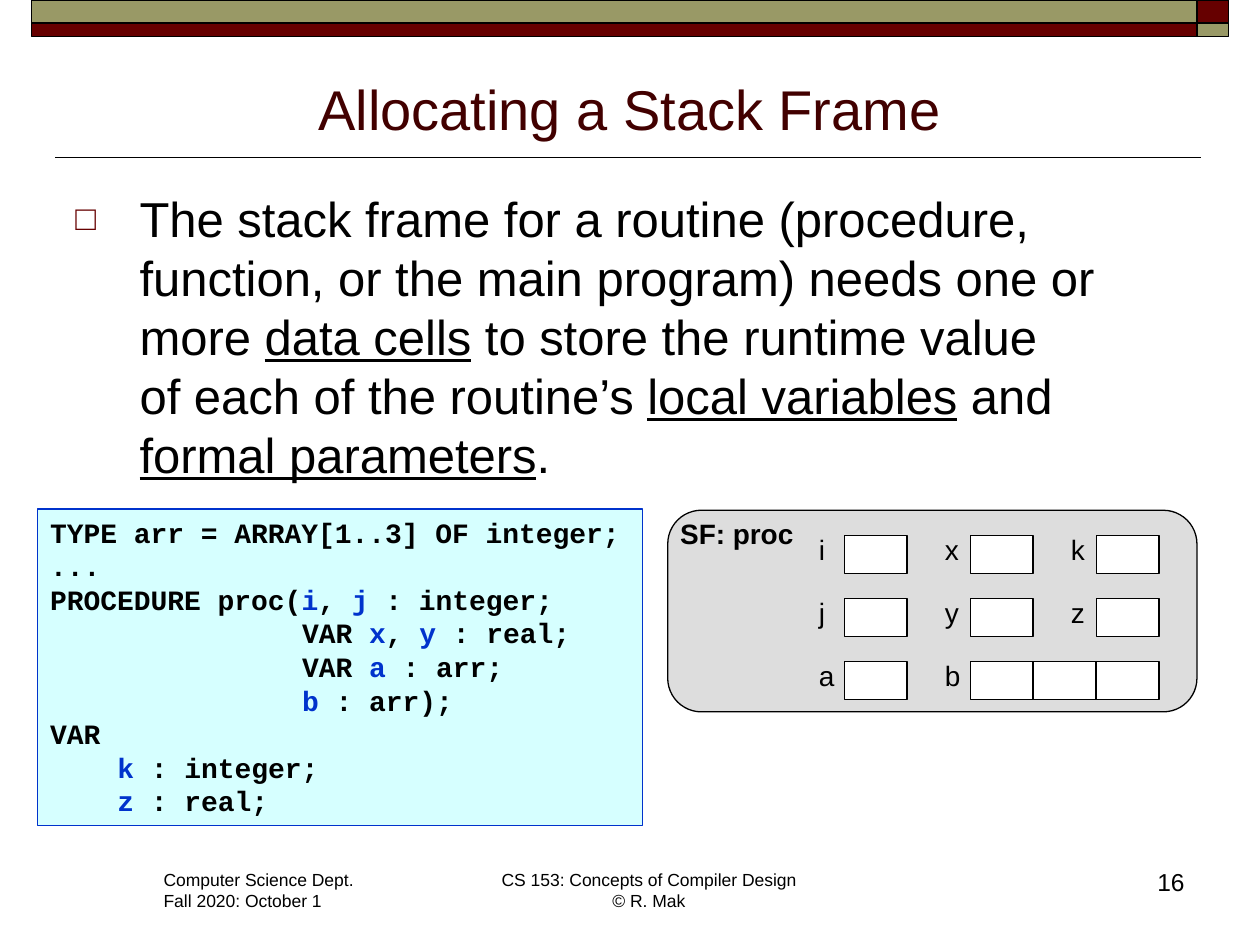
from pptx import Presentation
from pptx import util as u
from pptx.dml.color import RGBColor
from pptx.enum import shapes, text
from pptx.oxml import parse_xml
from pptx.oxml.ns import nsdecls

Inches, Pt = u.Inches, u.Pt
BLACK = RGBColor(0x00, 0x00, 0x00)
WHITE = RGBColor(0xFF, 0xFF, 0xFF)
MAROON = RGBColor(0x66, 0x00, 0x00)
OLIVE = RGBColor(0x99, 0x99, 0x66)
WINE = RGBColor(0x42, 0x00, 0x00)
BLUE = RGBColor(0x00, 0x33, 0xCC)
CYAN = RGBColor(0xD6, 0xFF, 0xFF)
GREY = RGBColor(0xDD, 0xDD, 0xDD)
LEFT, MID, RIGHT = text.PP_ALIGN.LEFT, text.PP_ALIGN.CENTER, text.PP_ALIGN.RIGHT

prs = Presentation()
prs.slide_width, prs.slide_height = Inches(10), Inches(7.5)
slide = prs.slides.add_slide(prs.slide_layouts[6])


def box(x, y, w, h, fill, line=BLACK, width=0.75, kind=shapes.MSO_SHAPE.RECTANGLE):
    shape = slide.shapes.add_shape(kind, Inches(x), Inches(y), Inches(w), Inches(h))
    shape.shadow.inherit = False
    shape.fill.solid()
    shape.fill.fore_color.rgb = fill
    shape.line.color.rgb = line
    shape.line.width = Pt(width)
    return shape


def write(lines, at=None, shape=None, size=16, font="Arial", color=BLACK, bold=False,
          align=LEFT, wrap=False, anchor=text.MSO_ANCHOR.TOP, mark=None, under=False):
    """Write one paragraph a line; every second piece between bars is marked."""
    shape = shape or slide.shapes.add_textbox(*[Inches(n) for n in at])
    frame = shape.text_frame
    frame.word_wrap, frame.vertical_anchor = wrap, anchor
    for n, line in enumerate(lines):
        para = frame.paragraphs[0] if n == 0 else frame.add_paragraph()
        para.alignment = align
        for i, piece in enumerate(line.split("|")):
            for j, part in enumerate(piece.split("\n")):
                if j:
                    para.add_line_break()
                if not part:
                    continue
                run = para.add_run()
                run.text = part
                run.font.size, run.font.name, run.font.bold = Pt(size), font, bold
                run.font.color.rgb = mark if mark and i % 2 else color
                if under and i % 2:
                    run.font.underline = True
    return frame


# Rule under the title and bands along the top
rule = slide.shapes.add_connector(shapes.MSO_CONNECTOR.STRAIGHT, Inches(9.53),
                                  Inches(1.25), Inches(0.44), Inches(1.25))
rule.line.color.rgb = BLACK
rule.line.width = Pt(1)
rule._element.spPr.append(parse_xml(f"<a:effectLst {nsdecls('a')}/>"))
for y, h, long, short in ((0, 0.18, OLIVE, MAROON), (0.18, 0.11, MAROON, OLIVE)):
    box(9.5, y, 0.25, h, short, width=1)
    box(0.25, y, 9.25, h, long, width=1)

# Footer
write(["Computer Science Dept.", "Fall 2020: October 1"], (1.2, 6.85, 1.72, 0.44), size=10)
write(["CS 153: Concepts of Compiler Design\n© R. Mak"], (3.87, 6.85, 2.56, 0.44),
      size=10, align=MID)
write(["16"], (8.8, 6.83, 0.7, 0.5), size=14, align=RIGHT, wrap=True)

# Title
write(["Allocating a Stack Frame"], (0.5, 0.45, 9, 0.72), size=32, color=WINE,
      align=MID, wrap=True, anchor=text.MSO_ANCHOR.BOTTOM)

# Body with a square bullet
body = write(["The stack frame for a routine (procedure, function, or the main program) "
              "needs one or more |data cells| to store the runtime value \nof each of the "
              "routine’s |local variables| and |formal parameters|."],
             (0.5, 1.45, 9, 2.5), size=28, wrap=True, under=True)
para = body.paragraphs[0]
para.space_before = Pt(5.6)
props = para._p.get_or_add_pPr()
props.set("marL", str(Inches(0.51)))
props.set("indent", str(Inches(-0.51)))
for tag in (f'<a:buClr {nsdecls("a")}><a:srgbClr val="{MAROON}"/></a:buClr>',
            f'<a:buSzPct {nsdecls("a")} val="70000"/>',
            f'<a:buFont {nsdecls("a")} typeface="Arial"/>',
            f'<a:buChar {nsdecls("a")} char="□"/>'):
    props.append(parse_xml(tag))

# Code: each line with its indent in characters
code = [(0, "TYPE arr = ARRAY[1..3] OF integer;"), (0, "..."),
        (0, "PROCEDURE proc(|i|, |j| : integer;"), (15, "VAR |x|, |y| : real;"),
        (15, "VAR |a| : arr;"), (15, "|b| : arr);"), (0, "VAR"),
        (4, "|k| : integer;"), (4, "|z| : real;")]
panel = box(0.3, 4.04, 4.8, 2.51, CYAN, BLUE)
frame = write([line for _, line in code], shape=panel, font="Courier New", bold=True,
              mark=BLUE, wrap=True)
for para, (tab, _) in zip(frame.paragraphs, code):
    para._p.get_or_add_pPr().set("marL", str(Inches(tab * 2 / 15)))

# Stack frame with its cells
card = box(5.3, 4.05, 4.2, 1.6, GREY, kind=shapes.MSO_SHAPE.ROUNDED_RECTANGLE)
card.adjustments[0] = 0.167
write(["SF: proc"], (5.3, 4.05, 1.11, 0.37), bold=True)
for row, names in enumerate(("ixk", "jyz", "ab")):
    for col, name in enumerate(names):
        x, y = 6.7 + col, 4.25 + row * 0.5
        write([name], (x - 0.3, y - 0.07, 0.31, 0.37))
        for n in range(3 if name == "b" else 1):
            box(x + n * 0.5, y, 0.5, 0.3, WHITE)

prs.save("out.pptx")
